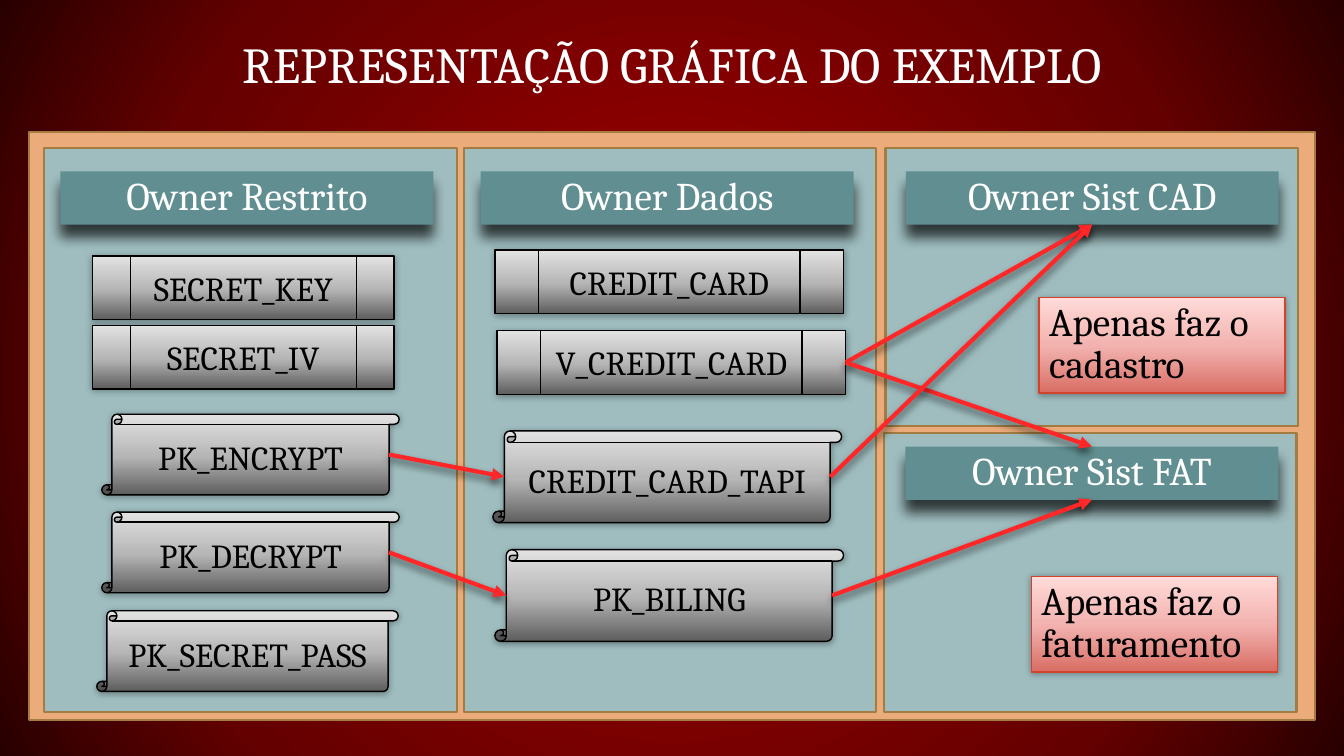
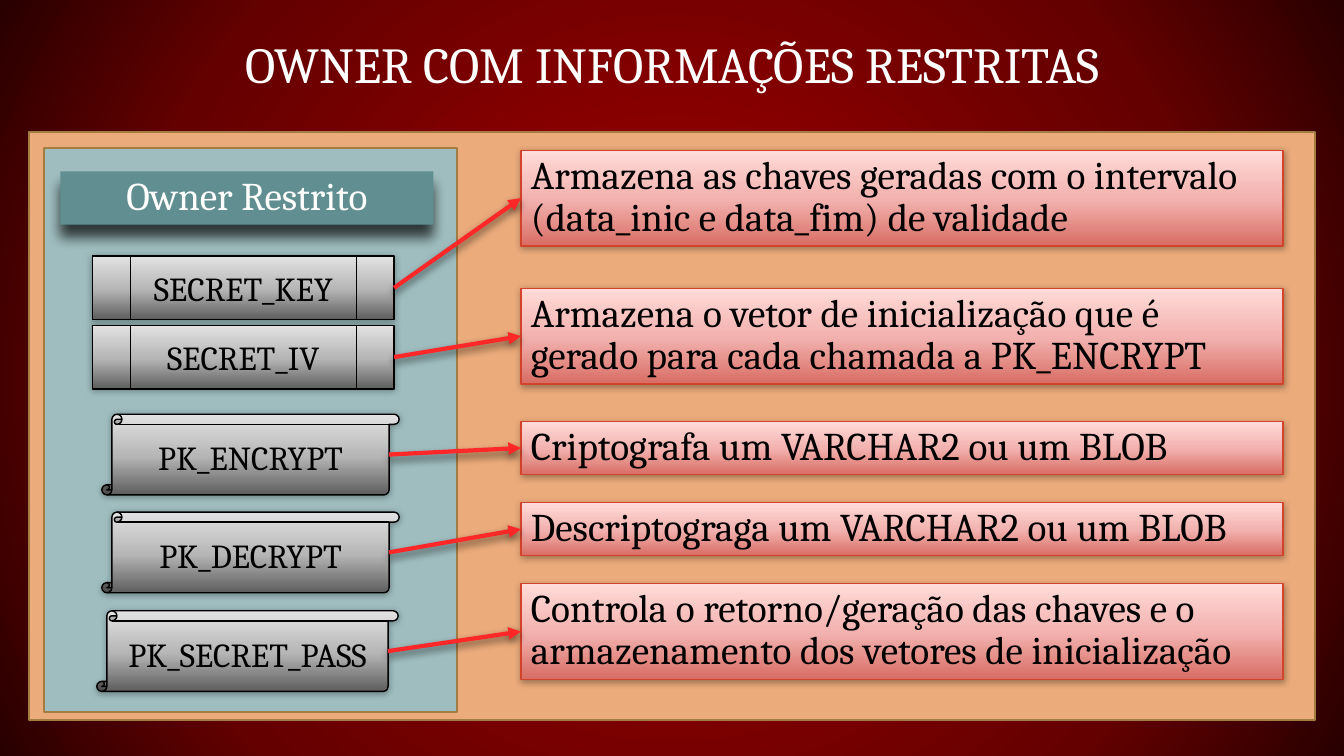
from pptx import Presentation
from pptx.dml.color import RGBColor
from pptx.enum.shapes import MSO_CONNECTOR, MSO_SHAPE
from pptx.enum.text import MSO_ANCHOR, MSO_AUTO_SIZE, PP_ALIGN
from pptx.oxml import parse_xml
from pptx.oxml.ns import nsdecls, qn
from pptx.util import Pt

FONT = "Cambria"
COLORS = {
    "white": "FFFFFF", "black": "000000",
    "red": "960000", "wine": "650000", "maroon": "290000",
    "orange": "EBAB7B", "brown": "A37C42",
    "pale_teal": "9FBDBF", "teal": "618F91",
    "dark_gray": "5E5E5E", "gray": "B6B6B6", "light_gray": "E2E2E2",
    "coral": "D86D64", "pink": "F2B1AE", "light_pink": "FFDBD9",
    "brick": "D3432B", "arrow": "FF2727",
}
UPWARD = '<a:lin ang="16200000" scaled="0"/>'
RADIAL = '<a:path path="circle"><a:fillToRect l="50000" t="50000" r="50000" b="50000"/></a:path>'
GRADIENTS = {
    "background": ([(17, "red"), (71, "wine"), (100, "maroon")], RADIAL),
    "metal": ([(0, "dark_gray"), (48, "gray"), (100, "light_gray")], UPWARD),
    "rose": ([(0, "coral"), (48, "pink"), (100, "light_pink")], UPWARD),
}
SHADOWS = {"header": (70, 9, 9), "object": (32, 5, 1), "arrow": (60, 6, 3)}

PANEL = dict(fill="pale_teal", line="brown", line_width=1.5)
FRAME = PANEL | dict(fill="orange")
HEADER = dict(fill="teal", shadow="header", size=28, color="white", grow=True)
TABLE = dict(kind=MSO_SHAPE.FLOWCHART_PREDEFINED_PROCESS, gradient="metal",
             line="black", shadow="object")
SCROLL = TABLE | dict(kind=MSO_SHAPE.VERTICAL_SCROLL)
NOTE = dict(gradient="rose", line="brick", shadow="object", size=28,
            align=PP_ALIGN.LEFT, grow=True)

PANEL_WIDTH, PANEL_HEIGHT, HALF_PANEL = 294.5, 402.5, 198.7
HEADER_SIZE = (266.4, 38)
TABLE_SIZE = (215.3, 45.4)
DATA_TABLE_SIZE = (249.1, 45.4)
PACKAGE_SIZE = (212.4, 57.6)
DATA_PACKAGE_SIZE = (249.1, 65.5)
NOTE_SIZE = (175.7, 68.4)

RESTRICTED_BOXES = [
    ("", (20.9, 94.3, 918.7, 419.8), FRAME),
    ("", (31.7, 105.8, PANEL_WIDTH, PANEL_HEIGHT), PANEL),
    ("Owner Restrito", (43.2, 122.4, *HEADER_SIZE), HEADER),
    ("SECRET_KEY", (66.2, 182.9, *TABLE_SIZE), TABLE),
    ("SECRET_IV", (66.2, 232.4, *TABLE_SIZE), TABLE),
    ("PK_ENCRYPT", (72.7, 295.9, *PACKAGE_SIZE), SCROLL),
    ("PK_DECRYPT", (72.7, 365.8, *PACKAGE_SIZE), SCROLL),
    ("PK_SECRET_PASS", (69.1, 436.3, 215.3, 57.6), SCROLL),
]
OVERVIEW_BOXES = [
    ("", (331.4, 105.8, PANEL_WIDTH, PANEL_HEIGHT), PANEL),
    ("Owner Dados", (343.4, 122.4, *HEADER_SIZE), HEADER),
    ("CREDIT_CARD", (353.5, 178.6, *DATA_TABLE_SIZE), TABLE),
    ("V_CREDIT_CARD", (355, 236.2, *DATA_TABLE_SIZE), TABLE),
    ("CREDIT_CARD_TAPI", (352.1, 307.8, *DATA_PACKAGE_SIZE), SCROLL),
    ("PK_BILING", (353.5, 392.6, *DATA_PACKAGE_SIZE), SCROLL),
    ("", (632.5, 105.8, PANEL_WIDTH, HALF_PANEL), PANEL),
    ("", (631.6, 309.6, PANEL_WIDTH, HALF_PANEL), PANEL),
    ("Owner Sist CAD", (647, 122.4, *HEADER_SIZE), HEADER),
    ("Owner Sist FAT", (646.8, 319, *HEADER_SIZE), HEADER),
    ("Apenas faz o cadastro", (742.3, 212.4, *NOTE_SIZE), NOTE),
    ("Apenas faz o faturamento", (736.8, 411.6, *NOTE_SIZE), NOTE),
]
OVERVIEW_ARROWS = [
    ("PK_ENCRYPT", "CREDIT_CARD_TAPI", 1),
    ("PK_DECRYPT", "PK_BILING", 1),
    ("V_CREDIT_CARD", "Owner Sist CAD", 2),
    ("V_CREDIT_CARD", "Owner Sist FAT", 0),
    ("CREDIT_CARD_TAPI", "Owner Sist CAD", 2),
    ("PK_BILING", "Owner Sist FAT", 2),
]
DESCRIPTIONS = [
    ("SECRET_KEY", 107.3, 68.4,
     "Armazena as chaves geradas com o intervalo (data_inic e data_fim) de validade"),
    ("SECRET_IV", 205.9, 68.4,
     "Armazena o vetor de inicialização que é gerado para cada chamada a PK_ENCRYPT"),
    ("PK_ENCRYPT", 301, 38, "Criptografa um VARCHAR2 ou um BLOB"),
    ("PK_DECRYPT", 359, 38, "Descriptograga um VARCHAR2 ou um BLOB"),
    ("PK_SECRET_PASS", 416.9, 68.4,
     "Controla o retorno/geração das chaves e o armazenamento dos vetores de inicialização"),
]
DESCRIPTION_BOXES = [(text, (372.2, top, 544.3, height), NOTE)
                     for name, top, height, text in DESCRIPTIONS]
DESCRIPTION_ARROWS = [(name, text, 1) for name, top, height, text in DESCRIPTIONS]

SLIDES = [
    ("REPRESENTAÇÃO GRÁFICA DO EXEMPLO", RESTRICTED_BOXES + OVERVIEW_BOXES, OVERVIEW_ARROWS),
    ("OWNER COM INFORMAÇÕES RESTRITAS", RESTRICTED_BOXES + DESCRIPTION_BOXES, DESCRIPTION_ARROWS),
]


def effect_xml(tag, name):
    if tag == "gradFill":
        stops, direction = GRADIENTS[name]
        stop_list = "".join(
            f'<a:gs pos="{position * 1000}"><a:srgbClr val="{COLORS[color]}"/></a:gs>'
            for position, color in stops)
        body = f"<a:gsLst>{stop_list}</a:gsLst>{direction}"
    else:
        opacity, blur, distance = SHADOWS[name]
        body = (f'<a:outerShdw blurRad="{Pt(blur)}" dist="{Pt(distance)}" dir="5400000" '
                f'algn="ctr" rotWithShape="0"><a:srgbClr val="{COLORS["black"]}">'
                f'<a:alpha val="{opacity * 1000}"/></a:srgbClr></a:outerShdw>')
    return parse_xml(f'<a:{tag} {nsdecls("a")}>{body}</a:{tag}>')


def add_box(slide, text, box, kind=MSO_SHAPE.RECTANGLE, fill=None, gradient=None,
            line=None, line_width=1, shadow=None, size=24, color="black",
            align=PP_ALIGN.CENTER, grow=False):
    shape = slide.shapes.add_shape(kind, *[Pt(length) for length in box])
    properties = shape.element.spPr
    if gradient:
        shape.fill.gradient()
        properties.replace(properties.find(qn("a:gradFill")), effect_xml("gradFill", gradient))
    else:
        shape.fill.solid()
        shape.fill.fore_color.rgb = RGBColor.from_string(COLORS[fill])
    if line:
        shape.line.color.rgb = RGBColor.from_string(COLORS[line])
        shape.line.width = Pt(line_width)
    else:
        shape.line.fill.background()
    shape.shadow.inherit = False
    if shadow:
        properties.replace(properties.find(qn("a:effectLst")), effect_xml("effectLst", shadow))
    if text:
        frame = shape.text_frame
        frame.text = text
        frame.word_wrap = True
        frame.vertical_anchor = MSO_ANCHOR.TOP if grow else MSO_ANCHOR.MIDDLE
        paragraph = frame.paragraphs[0]
        paragraph.alignment = align
        if grow:
            frame.auto_size = MSO_AUTO_SIZE.SHAPE_TO_FIT_TEXT
            paragraph.line_spacing = 0.9
        font = paragraph.runs[0].font
        font.name, font.size = FONT, Pt(size)
        font.color.rgb = RGBColor.from_string(COLORS[color])
    return shape


presentation = Presentation()
presentation.slide_width, presentation.slide_height = Pt(960), Pt(540)
master = presentation.slide_master
master.background.fill.gradient()
background_fill = next(master.element.iter(qn("a:gradFill")))
background_fill.getparent().replace(background_fill, effect_xml("gradFill", "background"))

for title_text, boxes, arrows in SLIDES:
    slide = presentation.slides.add_slide(presentation.slide_layouts[5])
    title = slide.shapes.title
    title.left, title.top, title.width, title.height = Pt(20.9), Pt(20.9), Pt(918.7), Pt(50.4)
    frame = title.text_frame
    frame.text = title_text
    frame.auto_size = MSO_AUTO_SIZE.NONE
    frame.vertical_anchor = MSO_ANCHOR.BOTTOM
    frame.margin_left = frame.margin_right = Pt(9.4)
    frame.margin_top = frame.margin_bottom = Pt(5)
    paragraph = frame.paragraphs[0]
    paragraph.alignment = PP_ALIGN.CENTER
    paragraph.line_spacing = 0.8
    font = paragraph.runs[0].font
    font.name, font.size = FONT, Pt(36)
    font.color.rgb = RGBColor.from_string(COLORS["white"])

    shapes = {text: add_box(slide, text, box, **style) for text, box, style in boxes}

    for start_name, end_name, end_side in arrows:
        start, end = shapes[start_name], shapes[end_name]
        connector = slide.shapes.add_connector(MSO_CONNECTOR.STRAIGHT, 0, 0, 0, 0)
        connector.begin_connect(start, 3)
        connector.end_connect(end, end_side)
        if start.auto_shape_type == MSO_SHAPE.VERTICAL_SCROLL:
            connector.begin_x -= start.height // 8
        if end.auto_shape_type == MSO_SHAPE.VERTICAL_SCROLL:
            connector.end_x += end.height // 8
        connector.line.color.rgb = RGBColor.from_string(COLORS["arrow"])
        connector.line.width = Pt(3)
        properties = connector.element.spPr
        properties.find(qn("a:ln")).append(
            parse_xml(f'<a:tailEnd {nsdecls("a")} type="triangle"/>'))
        properties.append(effect_xml("effectLst", "arrow"))

presentation.save("out.pptx")
